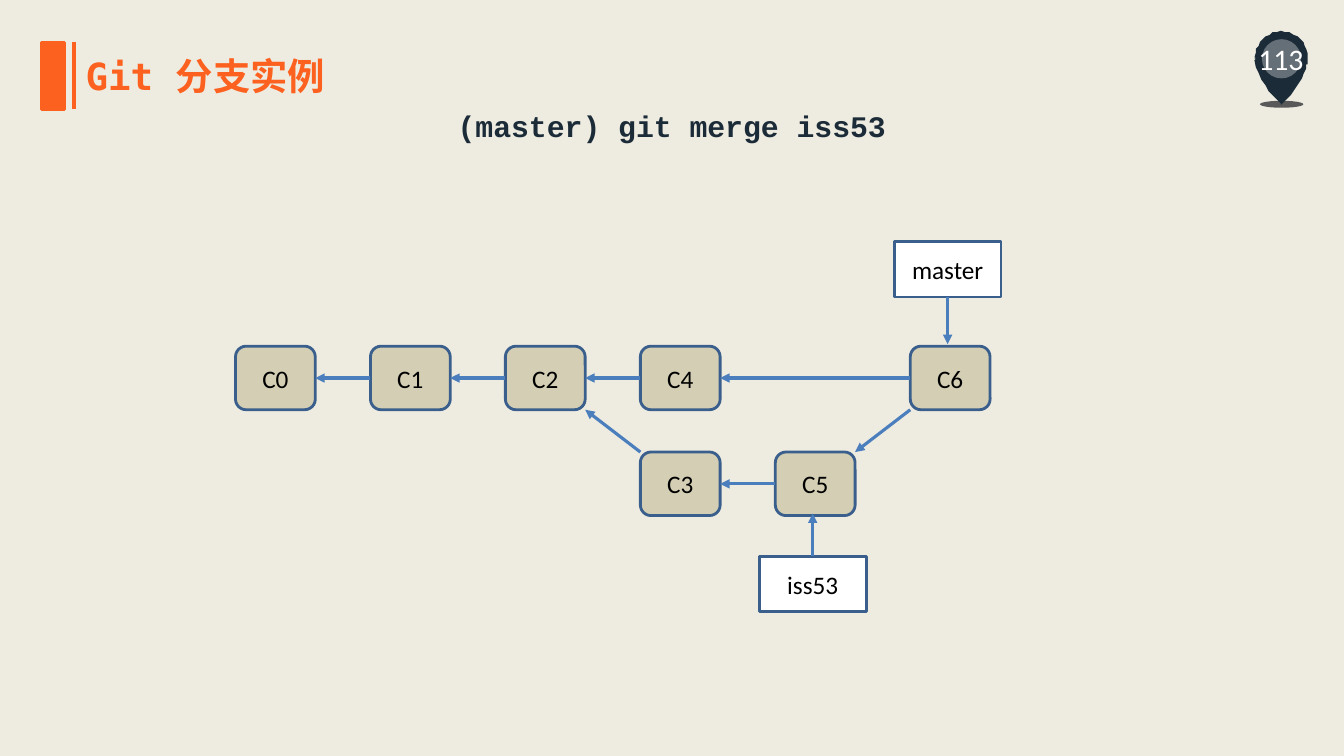
from lxml.etree import SubElement
from pptx import Presentation
from pptx.dml.color import RGBColor
from pptx.enum.shapes import MSO_CONNECTOR, MSO_SHAPE as Shape
from pptx.enum.text import MSO_ANCHOR as Anchor, PP_ALIGN as Align
from pptx.oxml.ns import qn
from pptx.util import Pt

COLORS = {
    "background": "EEECE1", "accent": "FC611F", "dark": "1C2B38",
    "shadow": "595959", "white": "FFFFFF", "black": "000000",
    "commit": "D4CFB4", "outline": "3A5F8C", "arrow": "4B7EBC",
}
TITLE = "Git 分支实例"
COMMAND = "(master) git merge iss53"
PAGE = "113"

# commit: (column, row)
COMMITS = {"C0": (0, 0), "C1": (1, 0), "C2": (2, 0), "C4": (3, 0),
           "C3": (3, 1), "C5": (4, 1), "C6": (5, 0)}
PARENTS = [("C1", "C0"), ("C2", "C1"), ("C4", "C2"), ("C3", "C2"),
           ("C5", "C3"), ("C6", "C4"), ("C6", "C5")]
# branch: (commit, top of its label)
BRANCHES = {"master": ("C6", 172.6), "iss53": ("C5", 397.3)}

GRID_X, GRID_Y, STEP_X, STEP_Y = 168.2, 247.3, 96.4, 75.6
COMMIT_W, COMMIT_H = 57, 45.4
LABEL_W, LABEL_H, LABEL_SHIFT = 76.4, 39.6, -1.8

# outline of the page marker: start, then cubic curves
PIN_START = (934.4, 42.5)
PIN_CURVES = [
    ((934.4, 41.8), (934.4, 41.4), (934.4, 41)),
    ((934.4, 31), (925.8, 22.4), (915.4, 22.4)),
    ((905, 22.4), (896.5, 31), (896.5, 41)),
    ((896.5, 41.8), (896.5, 42.5), (896.5, 43.2)),
    ((897.8, 58.3), (915.4, 74.8), (915.4, 74.8)),
    ((927.4, 63.4), (931.7, 52.6), (933.1, 46.8)),
    ((933.8, 45.4), (934.1, 43.9), (934.4, 42.5)),
]

prs = Presentation()
prs.slide_width, prs.slide_height = Pt(960), Pt(540)
s = prs.slides.add_slide(prs.slide_layouts[6])


def rgb(name):
    return RGBColor.from_string(COLORS[name])


def paint(sp, fill, line=None):
    sp.shadow.inherit = False
    sp.fill.solid()
    sp.fill.fore_color.rgb = rgb(fill)
    if line:
        sp.line.color.rgb = rgb(line)
        sp.line.width = Pt(2)
    else:
        sp.line.fill.background()


def add_shape(kind, x, y, w, h, fill, line=None):
    sp = s.shapes.add_shape(kind, Pt(x), Pt(y), Pt(w), Pt(h))
    paint(sp, fill, line)
    return sp


def write(sp, text, size, font, color, align=Align.CENTER, bold=False):
    tf = sp.text_frame
    tf.word_wrap = True
    p = tf.paragraphs[0]
    p.text, p.alignment = text, align
    p.font.size, p.font.name, p.font.bold = Pt(size), font, bold
    p.font.color.rgb = rgb(color)
    return tf


def add_text(x, y, w, h, *style, **options):
    return write(s.shapes.add_textbox(Pt(x), Pt(y), Pt(w), Pt(h)), *style, **options)


def add_line(start, end, color, width, arrow=False):
    c = s.shapes.add_connector(MSO_CONNECTOR.STRAIGHT, *map(Pt, start + end))
    c.line.color.rgb = rgb(color)
    c.line.width = Pt(width)
    if arrow:
        SubElement(c.line._get_or_add_ln(), qn("a:tailEnd"), type="triangle")
    SubElement(c._element.spPr, qn("a:effectLst"))


def add_node(kind, x, y, w, h, fill, text):
    sp = add_shape(kind, x, y, w, h, fill, "outline")
    write(sp, text, 18, "Calibri", "black").vertical_anchor = Anchor.MIDDLE


def curve_points(start, curves, steps=10):
    """Points along a chain of cubic Bezier curves."""
    points = []
    for a, b, end in curves:
        for i in range(1, steps + 1):
            t = i / steps
            u = 1 - t
            points.append(tuple(
                u**3 * p0 + 3 * u * u * t * p1 + 3 * u * t * t * p2 + t**3 * p3
                for p0, p1, p2, p3 in zip(start, a, b, end)))
        start = end
    return points


def commit_corner(name):
    col, row = COMMITS[name]
    return GRID_X + col * STEP_X, GRID_Y + row * STEP_Y


def add_page_marker():
    add_shape(Shape.OVAL, 900, 72, 31, 5, "shadow")
    builder = s.shapes.build_freeform(*PIN_START, scale=Pt(1))
    builder.add_line_segments(curve_points(PIN_START, PIN_CURVES), close=True)
    paint(builder.convert_to_shape(), "dark")
    disc = add_shape(Shape.OVAL, 901.4, 28, 28, 28, "white")
    color = disc.fill._xPr.find(qn("a:solidFill"))[0]
    SubElement(color, qn("a:alpha"), val="32000")
    tf = add_text(803, 27.4, 224, 28.8, PAGE, 21.3, "Calibri", "white")
    tf.vertical_anchor = Anchor.MIDDLE


def add_heading():
    add_shape(Shape.RECTANGLE, 29.5, 30.2, 16.6, 48.2, "accent", "accent")
    add_line((52.6, 30.2), (52.6, 77.8), "accent", 3)
    add_text(54, 34.6, 222.5, 39.6, TITLE, 26.7, "DejaVu Sans Mono", "accent",
             align=Align.LEFT, bold=True)
    tf = add_text(282.2, 60.5, 395.3, 46, COMMAND, 21.3, "Courier New", "dark", bold=True)
    tf.paragraphs[0].line_spacing = 1.5


def add_history():
    for name in COMMITS:
        add_node(Shape.ROUNDED_RECTANGLE, *commit_corner(name), COMMIT_W, COMMIT_H,
                 "commit", name)
    for child, parent in PARENTS:
        (x1, y1), (x2, y2) = commit_corner(child), commit_corner(parent)
        # level arrows join side middles, sloping ones join corners
        drop1 = COMMIT_H / 2 if y1 == y2 else COMMIT_H * (y1 < y2)
        drop2 = COMMIT_H / 2 if y1 == y2 else COMMIT_H * (y2 < y1)
        add_line((x1, y1 + drop1), (x2 + COMMIT_W, y2 + drop2), "arrow", 2.25, arrow=True)
    for branch, (commit, top) in BRANCHES.items():
        x, y = commit_corner(commit)
        center = x + COMMIT_W / 2 + LABEL_SHIFT
        add_node(Shape.RECTANGLE, center - LABEL_W / 2, top, LABEL_W, LABEL_H,
                 "white", branch)
        above = top < y
        add_line((center, top + LABEL_H * above), (center, y - 1.5 if above else y + COMMIT_H - 1.5),
                 "arrow", 2.25, arrow=True)


s.background.fill.solid()
s.background.fill.fore_color.rgb = rgb("background")
add_page_marker()
add_heading()
add_history()
prs.save("out.pptx")
